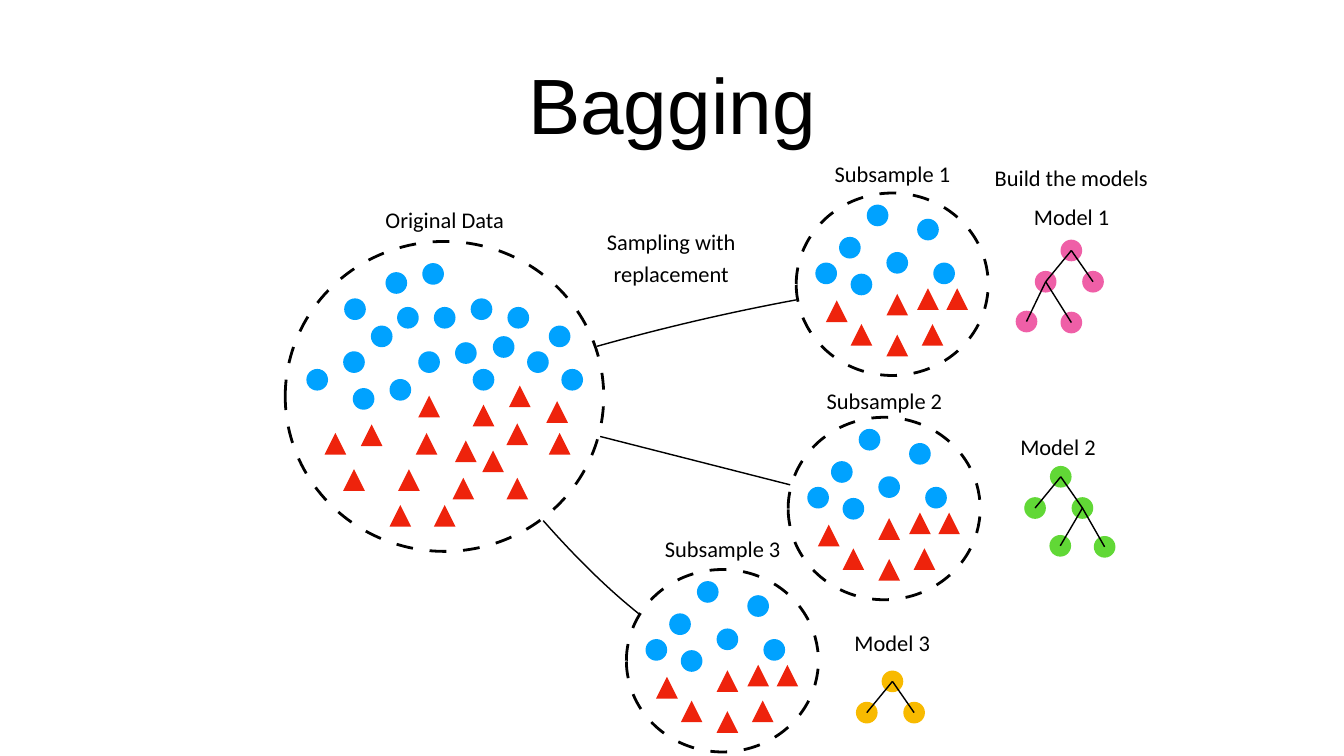
from lxml.etree import SubElement
from pptx import Presentation
from pptx.dml.color import RGBColor
from pptx.enum.shapes import MSO_CONNECTOR, MSO_SHAPE as KIND
from pptx.enum.text import MSO_ANCHOR as ANCHOR, PP_ALIGN as ALIGN
from pptx.oxml.ns import qn
from pptx.util import Inches, Pt

BLACK, BLUE, RED = "000000", "00A2FF", "EE230C"
PINK, GREEN, GOLD = "EF5FA7", "61D836", "F8BA00"
DOT = 0.43

# Marks are left, top offsets from the corner of their bag.
BIG_DOTS = [
    (2.64, 2.18), (3.37, 2.0), (1.34, 2.91), (2.07, 2.73), (1.7, 1.67),
    (1.15, 2.18), (2.95, 1.3), (3.68, 1.13), (3.72, 2.53), (4.12, 1.88),
    (4.41, 1.3), (1.17, 1.13), (2.22, 1.3), (1.99, 0.61), (2.72, 0.43),
    (0.42, 2.53), (4.8, 2.18), (5.48, 2.53), (5.23, 1.67)]
BIG_TRIS = [
    (2.64, 3.06), (3.72, 3.24), (1.5, 3.63), (2.59, 3.8), (3.37, 3.95),
    (2.24, 4.52), (3.32, 4.69), (1.15, 4.52), (0.78, 3.8), (4.44, 2.86),
    (4.39, 3.61), (2.07, 5.23), (4.39, 4.69), (5.23, 3.8), (3.91, 4.15),
    (2.95, 5.23), (5.18, 3.17)]
SUB_DOTS = [(1.79, 1.17), (2.4, 0.51), (2.72, 1.38), (0.85, 0.87),
            (1.4, 0.23), (1.08, 1.6), (0.38, 1.38)]
SUB_TRIS = [(1.79, 2.81), (1.79, 2.0), (2.4, 1.89), (0.59, 2.13),
            (1.08, 2.6), (2.98, 1.89), (2.49, 2.6)]

BIG = (6.32, 6.15), BIG_DOTS, BIG_TRIS
SUB = (3.81, 3.62), SUB_DOTS, SUB_TRIS
BAGS = [  # label, label top, corner, contents
    ("Original Data", 3.96, (5.66, 4.79), BIG),
    ("Subsample 1", 3.06, (15.8, 3.83), SUB),
    ("Subsample 2", 7.56, (15.64, 8.28), SUB),
    ("Subsample 3", 10.5, (12.43, 11.3), SUB)]

ARCS = [  # start, two control points, end
    ((11.85, 6.87), (13.13, 6.51), (14.45, 6.2), (15.8, 5.95)),
    ((10.78, 10.33), (11.46, 11.1), (12.09, 11.71), (12.68, 12.18))]
LINK = (11.91, 8.66), (15.68, 9.62)

# Children are x, y offsets from the root and the index of the parent node.
PAIR = [(-0.51, 0.62, 0), (0.43, 0.62, 0)]
MODELS = [  # label, label corner, colour, root centre, children
    ("Model 1", (20.06, 3.91), PINK, (21.26, 4.97),
     PAIR + [(-0.89, 1.41, 1), (0, 1.43, 1)]),
    ("Model 2", (19.79, 8.47), GREEN, (21.05, 9.46),
     PAIR + [(-0.01, 1.37, 2), (0.87, 1.39, 2)]),
    ("Model 3", (16.5, 12.37), GOLD, (17.71, 13.52), PAIR)]


def color(fmt, hexa):
    fmt.rgb = RGBColor.from_string(hexa)


def stroke(line, width):
    line.fill.solid()
    color(line.fill.fore_color, BLACK)
    line.width = Pt(width)


def text(words, x, y, w, h, size=32, font="Calibri", anchor=ANCHOR.MIDDLE,
         space=1.2):
    frame = shapes.add_textbox(*map(Inches, (x, y, w, h))).text_frame
    frame.word_wrap = True
    frame.vertical_anchor = anchor
    frame.margin_left = frame.margin_right = Inches(0.08)
    frame.margin_top = frame.margin_bottom = Inches(0.08)
    para = frame.paragraphs[0]
    para.alignment = ALIGN.CENTER
    para.line_spacing = space
    run = para.add_run()
    run.text = words
    run.font.size, run.font.name = Pt(size), font
    color(run.font.color, BLACK)


def mark(home, kind, x, y, fill):
    """Add one small filled dot or triangle to the shapes in home."""
    item = home.add_shape(kind, *map(Inches, (x, y, DOT, DOT)))
    item.shadow.inherit = False
    item.fill.solid()
    color(item.fill.fore_color, fill)
    item.line.fill.background()


def bag(label, top, corner, contents):
    """Draw a dashed circle with its marks and its centred label."""
    (x, y), ((w, h), dots, tris) = corner, contents
    home = shapes.add_group_shape().shapes
    for kind, fill, spots in ((KIND.OVAL, BLUE, dots),
                              (KIND.ISOSCELES_TRIANGLE, RED, tris)):
        for dx, dy in spots:
            mark(home, kind, x + dx, y + dy, fill)
    ring = home.add_shape(KIND.OVAL, *map(Inches, (x, y, w, h)))
    ring.shadow.inherit = False
    ring.fill.background()
    stroke(ring.line, 4)
    dash = SubElement(ring.line._get_or_add_ln(), qn("a:custDash"))
    SubElement(dash, qn("a:ds"), d="600000", sp="600000")
    text(label, x + w / 2 - 1.9, top, 3.81, 0.67)


def join(start, end):
    ends = map(Inches, (*start, *end))
    line = shapes.add_connector(MSO_CONNECTOR.STRAIGHT, *ends)
    stroke(line.line, 2)
    SubElement(line._element.spPr, qn("a:effectLst"))


def arc(a, b, c, d, steps=16):
    """Draw a cubic curve as a fine open outline."""
    spots = []
    for i in range(steps + 1):
        t = i / steps
        u = 1 - t
        spots.append(tuple(
            Inches(u**3 * p + 3 * u * u * t * q + 3 * u * t * t * r + t**3 * s)
            for p, q, r, s in zip(a, b, c, d)))
    pen = shapes.build_freeform(*spots[0])
    pen.add_line_segments(spots[1:], close=False)
    curve = pen.convert_to_shape()
    curve.shadow.inherit = False
    curve.fill.background()
    stroke(curve.line, 2)


def model(label, corner, fill, root, kids):
    """Draw a decision tree: nodes first, then edges from child to parent."""
    text(label, *corner, 2.41, 0.67)
    nodes = [root] + [(root[0] + dx, root[1] + dy) for dx, dy, _ in kids]
    for x, y in nodes:
        mark(shapes, KIND.OVAL, x - DOT / 2, y - DOT / 2, fill)
    for node, (_, _, up) in zip(nodes[1:], kids):
        join(node, nodes[up])


deck = Presentation()
deck.slide_width, deck.slide_height = Inches(26.67), Inches(15)
shapes = deck.slides.add_slide(deck.slide_layouts[6]).shapes

text("Bagging", 4.8, 0.39, 17.07, 3.32, size=112, font="Arial", space=1)
for row in BAGS:
    bag(*row)
for row in ARCS:
    arc(*row)
join(*LINK)
text("Sampling with replacement", 11.3, 4.33, 4.04, 1.26, anchor=ANCHOR.TOP)
for row in MODELS:
    model(*row)
text("Build the models", 19.24, 3.06, 4.04, 0.66, anchor=ANCHOR.TOP)

deck.save("out.pptx")
